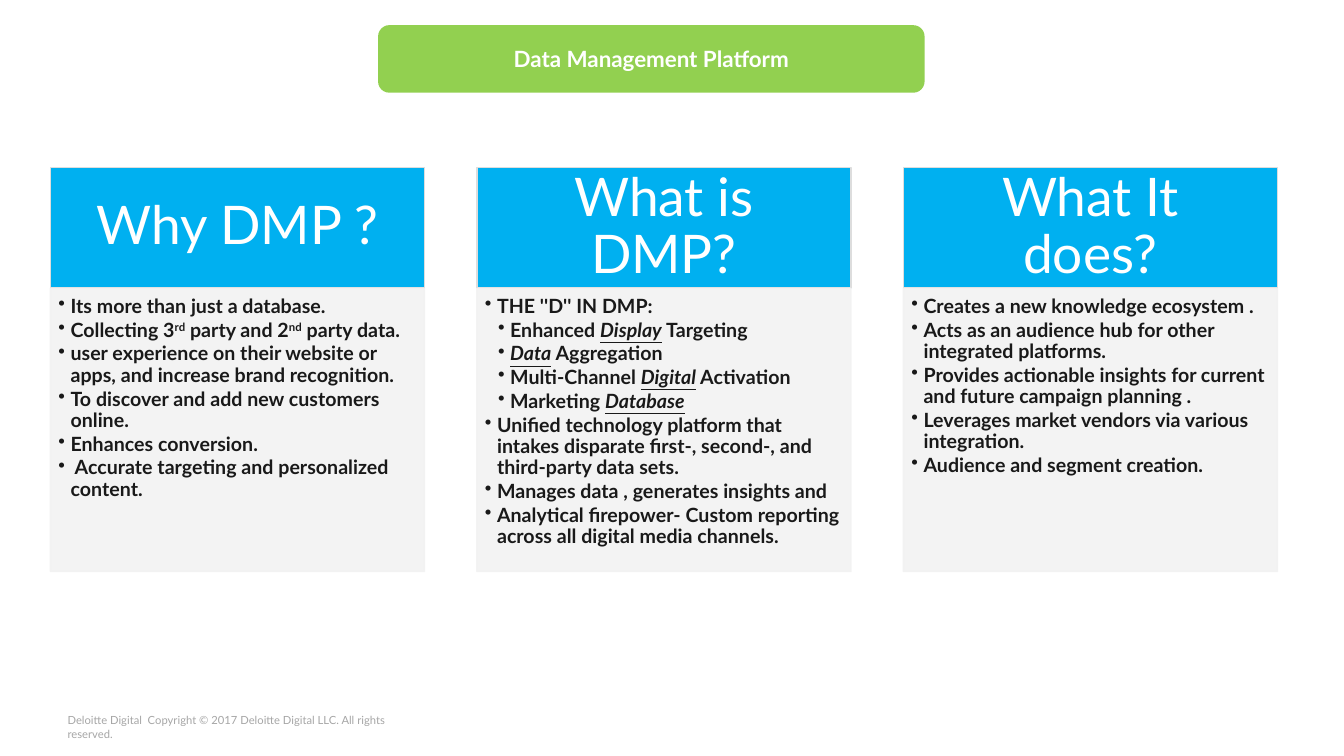
from pptx import Presentation
from pptx.dml.color import RGBColor as RGB
from pptx.enum.shapes import MSO_SHAPE as SHAPE
from pptx.enum.text import MSO_ANCHOR as ANCHOR, PP_ALIGN as ALIGN
from pptx.oxml.ns import qn
from pptx.util import Pt
from lxml.etree import SubElement as Sub

PX = 9144
FONT = "Lato"
LEFT, STEP, WIDE = 50, 423, 371
TOP, HEAD, BODY = 166, 120, 281

COLS = [
    ("Why DMP ?", [
        (0, "Its more than just a database."),
        (0, "Collecting 3^rd^ party and 2^nd^ party data."),
        (0, "user experience on their website or apps, and increase brand recognition."),
        (0, "To discover and add new customers online."),
        (0, "Enhances conversion."),
        (0, " Accurate targeting and personalized content."),
    ]),
    ("What is DMP?", [
        (0, "THE ''D'' IN DMP:"),
        (1, "Enhanced _Display_ Targeting"),
        (1, "_Data_ Aggregation"),
        (1, "Multi-Channel _Digital_ Activation"),
        (1, "Marketing _Database_"),
        (0, "Unified technology platform that intakes disparate first-, second-, and third-party data sets."),
        (0, "Manages data , generates insights and"),
        (0, "Analytical firepower- Custom reporting across all digital media channels."),
    ]),
    ("What It does?", [
        (0, "Creates a new knowledge ecosystem ."),
        (0, "Acts as an audience hub for other integrated platforms."),
        (0, "Provides actionable insights for current and future campaign planning ."),
        (0, "Leverages market vendors via various integration."),
        (0, "Audience and segment creation."),
    ]),
]


def color(hex):
    """Turn a hex string into a colour."""
    return RGB.from_string(hex)


def style(font, size, hex, bold=False):
    """Set the face, size, colour and weight of a font."""
    font.name, font.size, font.bold = FONT, Pt(size), bold
    font.color.rgb = color(hex)


def inset(frame, left, top, right, bottom):
    """Set the inner margins of a text frame."""
    frame.margin_left, frame.margin_top = left * PX, top * PX
    frame.margin_right, frame.margin_bottom = right * PX, bottom * PX


def box(slide, kind, place, fill, edge=None):
    """Add a filled shape with an optional border."""
    shape = slide.shapes.add_shape(kind, *(n * PX for n in place))
    shape.shadow.inherit = False
    shape.fill.solid()
    shape.fill.fore_color.rgb = color(fill)
    if edge:
        shape.line.color.rgb = color(edge)
        shape.line.width = Pt(1)
    else:
        shape.line.fill.background()
    shape.text_frame.word_wrap = True
    return shape


def title(shape, text, size, bold=False):
    """Write one centred white line in a shape."""
    frame = shape.text_frame
    frame.text = text
    frame.vertical_anchor = ANCHOR.MIDDLE
    para = frame.paragraphs[0]
    para.alignment = ALIGN.CENTER
    style(para.runs[0].font, size, "FFFFFF", bold)
    return para


def fade(shape, part):
    """Set the opacity of a shape's fill and border."""
    for tag in shape._element.spPr.iter(qn("a:srgbClr")):
        Sub(tag, qn("a:alpha"), val=str(part * 1000))


def bullet(para, level, text):
    """Write a bullet with ^raised^ and _stressed_ words."""
    para.level = level
    para.alignment = ALIGN.LEFT
    para.line_spacing = 0.9
    para.space_after = Pt(1.9)
    props = para._p.get_or_add_pPr()
    props.set("marL", str((12 + 13 * level) * PX))
    props.set("indent", str(-12 * PX))
    Sub(props, qn("a:buChar"), char="•")
    mark = "^" if "^" in text else "_"
    for i, part in enumerate(text.split(mark)):
        if not part:
            continue
        run = para.add_run()
        run.text = part
        style(run.font, 14, "191919", True)
        if i % 2 and mark == "^":
            run.font._element.set("baseline", "30000")
        elif i % 2:
            run.font.italic = run.font.underline = True


def column(slide, left, name, items):
    """Add a blue heading with its grey list below."""
    head = box(slide, SHAPE.RECTANGLE, (left, TOP, WIDE, HEAD), "00B0F0", "DDDDDD")
    inset(head.text_frame, 30, 17, 30, 17)
    title(head, name, 38).line_spacing = 0.9
    body = box(slide, SHAPE.RECTANGLE, (left, TOP + HEAD, WIDE, BODY), "F2F2F2", "F2F2F2")
    fade(body, 90)
    frame = body.text_frame
    frame.vertical_anchor = ANCHOR.TOP
    inset(frame, 8, 8, 11, 12)
    for i, (level, text) in enumerate(items):
        para = frame.add_paragraph() if i else frame.paragraphs[0]
        bullet(para, level, text)


def footer(slide, text):
    """Add the small grey copyright line."""
    frame = slide.shapes.add_textbox(67 * PX, 708 * PX, 348 * PX, 13 * PX).text_frame
    frame.word_wrap = True
    inset(frame, 0, 0, 0, 0)
    frame.text = text
    style(frame.paragraphs[0].runs[0].font, 8, "A6A6A6")


def main():
    """Build the slide and save it."""
    deck = Presentation()
    deck.slide_width, deck.slide_height = 1333 * PX, 750 * PX
    slide = deck.slides.add_slide(deck.slide_layouts[6])
    footer(slide, "Deloitte Digital  Copyright © 2017 Deloitte Digital LLC. All rights reserved.")
    for i, (name, items) in enumerate(COLS):
        column(slide, LEFT + i * STEP, name, items)
    banner = box(slide, SHAPE.ROUNDED_RECTANGLE, (375, 25, 542, 67), "92D050")
    title(banner, "Data Management Platform", 16, True).space_after = Pt(6)
    deck.save("out.pptx")


if __name__ == "__main__":
    main()
